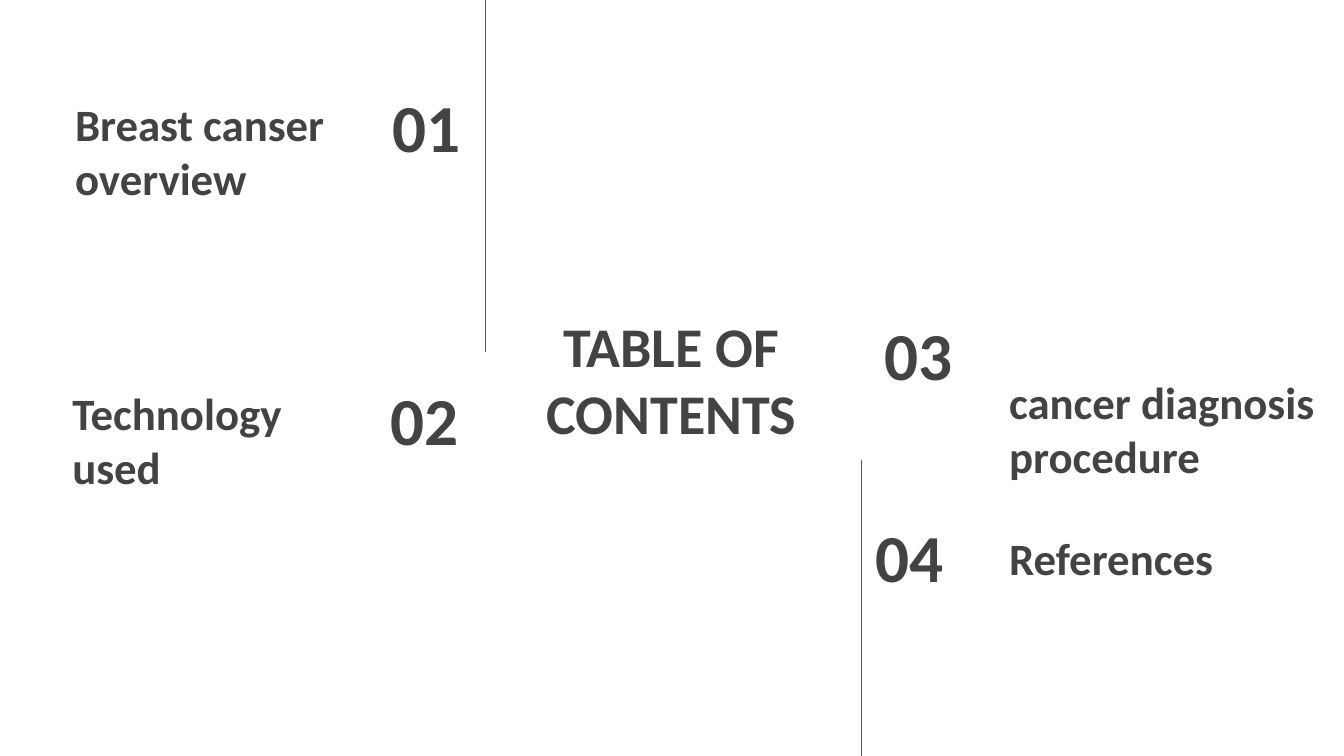
from lxml import etree
from pptx import Presentation
from pptx.dml.color import RGBColor
from pptx.enum import shapes, text
from pptx.oxml.ns import qn
from pptx.util import Pt

WIDTH, HEIGHT = 720, 405
COLOURS = {"page": "FFFFFF", "text": "434343", "rule": "595959"}
LEFT, CENTER, RIGHT = text.PP_ALIGN.LEFT, text.PP_ALIGN.CENTER, text.PP_ALIGN.RIGHT
MIDDLE, BOTTOM = text.MSO_ANCHOR.MIDDLE, text.MSO_ANCHOR.BOTTOM


class ContentsPage:
    font = "Calibri"
    inset = 7.2
    row_height = 45.4

    def __init__(self, deck):
        self.page = deck.slides.add_slide(deck.slide_layouts[5])
        fill = self.page.background.fill
        fill.solid()
        fill.fore_color.rgb = RGBColor.from_string(COLOURS["page"])

    def set_text(self, box, area, words, size, align, anchor):
        box.left, box.top, box.width, box.height = map(Pt, area)
        frame = box.text_frame
        frame.word_wrap = True
        frame.auto_size = text.MSO_AUTO_SIZE.NONE
        frame.vertical_anchor = anchor
        frame.margin_left = frame.margin_right = Pt(self.inset)
        frame.margin_top = frame.margin_bottom = Pt(self.inset)
        para = frame.paragraphs[0]
        para.alignment = align
        span = para.add_run()
        span.text = words
        span.font.name, span.font.size, span.font.bold = self.font, Pt(size), True
        span.font.color.rgb = RGBColor.from_string(COLOURS["text"])

    def title(self, area, words):
        self.set_text(self.page.shapes.title, area, words, 30, CENTER, MIDDLE)

    def text_box(self, area, words, size, align, anchor):
        box = self.page.shapes.add_textbox(*map(Pt, area))
        self.set_text(box, area, words, size, align, anchor)

    def number(self, left, top, words, align):
        self.text_box((left, top, 86, self.row_height), words, 36, align, MIDDLE)

    def label(self, left, top, width, words):
        self.text_box((left, top, width, self.row_height), words, 24, LEFT, BOTTOM)

    def vertical_rule(self, x, top, bottom):
        rule = self.page.shapes.add_connector(
            shapes.MSO_CONNECTOR.STRAIGHT, Pt(x), Pt(top), Pt(x), Pt(bottom))
        rule.line.width = Pt(0.75)
        rule.line.color.rgb = RGBColor.from_string(COLOURS["rule"])
        etree.SubElement(rule._element.spPr, qn("a:effectLst"))


def main():
    deck = Presentation()
    deck.slide_width, deck.slide_height = Pt(WIDTH), Pt(HEIGHT)
    contents = ContentsPage(deck)
    contents.title((266.4, 165.6, 186.5, 74.2), "TABLE OF CONTENTS")

    # Number position and alignment, then label position, width and wording
    entries = [
        (168, 44.6, RIGHT, 33.1, 71.3, 215.3, "Breast canser overview"),
        (166.7, 201.6, RIGHT, 31.7, 226.1, 155.5, "Technology used"),
        (466.6, 167, LEFT, 533.5, 220.3, 186.5, "cancer diagnosis procedure"),
        (461.9, 275, LEFT, 533.5, 275, 155.5, "References"),
    ]
    for order, entry in enumerate(entries, 1):
        left, top, align, *label = entry
        contents.number(left, top, f"{order:02}", align)
        contents.label(*label)

    contents.vertical_rule(260, 0, 188.6)
    contents.vertical_rule(461.5, 246.2, HEIGHT)
    deck.save("out.pptx")


if __name__ == "__main__":
    main()
